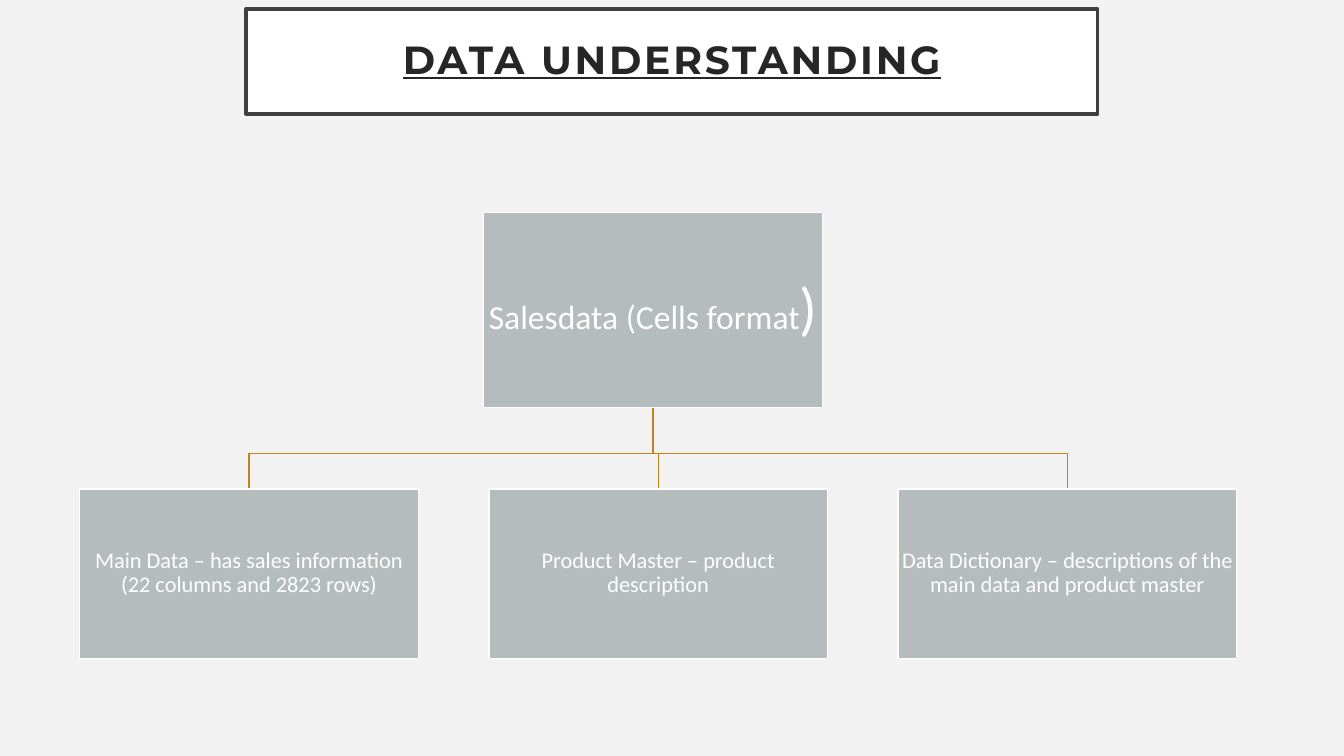
"""Build the data understanding slide with its sales data hierarchy."""
from dataclasses import dataclass

from pptx import Presentation
from pptx.dml.color import RGBColor as RGB
from pptx.enum.shapes import MSO_SHAPE as SHAPE
from pptx.enum.text import MSO_ANCHOR as ANCHOR, PP_ALIGN as ALIGN
from pptx.oxml.ns import qn
from pptx.shapes.autoshape import Shape
from pptx.slide import Slide
from pptx.text.text import TextFrame
from pptx.util import Pt

COLORS = {
    "background": "F2F2F2",
    "white": "FFFFFF",
    "frame": "404040",
    "title": "262626",
    "node": "B4BCBE",
    "branch": "C58217",
}


@dataclass(frozen=True)
class Box:
    left: float
    top: float
    width: float
    height: float
    fill: str = "node"
    line: str = "white"
    line_width: float = 1
    inset: float = 0.7

    @property
    def center(self) -> float:
        return self.left + self.width / 2

    @property
    def bottom(self) -> float:
        return self.top + self.height


TITLE = Box(175.7, 6.5, 608.4, 74.9, "white", "frame", 2.5, 14.4)
ROOT = Box(345.6, 151.9, 241.9, 139.1, inset=1.2)
CHILD_LEFT, CHILD_TOP, CHILD_PITCH, CHILD_HEIGHT = 56.9, 349.2, 292.3, 121
CHILDREN = (
    "Main Data – has sales information (22 columns and 2823 rows)",
    "Product Master – product description",
    "Data Dictionary – descriptions of the main data and product master",
)
BRANCH_Y = 324


def color(name: str) -> RGB:
    return RGB.from_string(COLORS[name])


def add_text(tf: TextFrame, text: str, *, size: float, font: str = "Calibri",
             fill: str = "white", bold: bool = False, underline: bool = False) -> None:
    p = tf.paragraphs[0]
    p.alignment = ALIGN.CENTER
    p.line_spacing = 0.9
    r = p.add_run()
    r.text = text
    r.font.size = Pt(size)
    r.font.name = font
    r.font.bold = bold
    r.font.underline = underline
    r.font.color.rgb = color(fill)


def add_box(s: Slide, box: Box) -> Shape:
    sp = s.shapes.add_shape(SHAPE.RECTANGLE, Pt(box.left), Pt(box.top),
                            Pt(box.width), Pt(box.height))
    sp.shadow.inherit = False
    sp.fill.solid()
    sp.fill.fore_color.rgb = color(box.fill)
    sp.line.color.rgb = color(box.line)
    sp.line.width = Pt(box.line_width)
    tf = sp.text_frame
    tf.word_wrap = True
    tf.vertical_anchor = ANCHOR.MIDDLE
    tf.margin_left = tf.margin_right = tf.margin_top = tf.margin_bottom = Pt(box.inset)
    return sp


def add_branch(s: Slide, parent: Box, child: Box) -> None:
    builder = s.shapes.build_freeform(Pt(parent.center), Pt(parent.bottom))
    builder.add_line_segments([
        (Pt(parent.center), Pt(BRANCH_Y)),
        (Pt(child.center), Pt(BRANCH_Y)),
        (Pt(child.center), Pt(child.top)),
    ], close=False)
    sp = builder.convert_to_shape()
    sp.shadow.inherit = False
    sp.fill.background()
    sp.line.color.rgb = color("branch")
    sp.line.width = Pt(1)


def main() -> None:
    prs = Presentation()
    prs.slide_width, prs.slide_height = Pt(960), Pt(540)
    s = prs.slides.add_slide(prs.slide_layouts[6])
    s.background.fill.solid()
    s.background.fill.fore_color.rgb = color("background")

    title = add_box(s, TITLE)
    add_text(title.text_frame, "DATA UNDERSTANDING", size=28, font="Montserrat",
             fill="title", bold=True, underline=True)
    for props in title.element.iter(qn("a:rPr")):
        props.set("spc", "200")

    children = [Box(CHILD_LEFT + i * CHILD_PITCH, CHILD_TOP, ROOT.width, CHILD_HEIGHT)
                for i in range(len(CHILDREN))]
    for child in reversed(children):
        add_branch(s, ROOT, child)

    root = add_box(s, ROOT)
    add_text(root.text_frame, "Salesdata (Cells format", size=24)
    add_text(root.text_frame, ")", size=42)
    for child, text in zip(children, CHILDREN):
        add_text(add_box(s, child).text_frame, text, size=16)

    prs.save("out.pptx")


if __name__ == "__main__":
    main()
